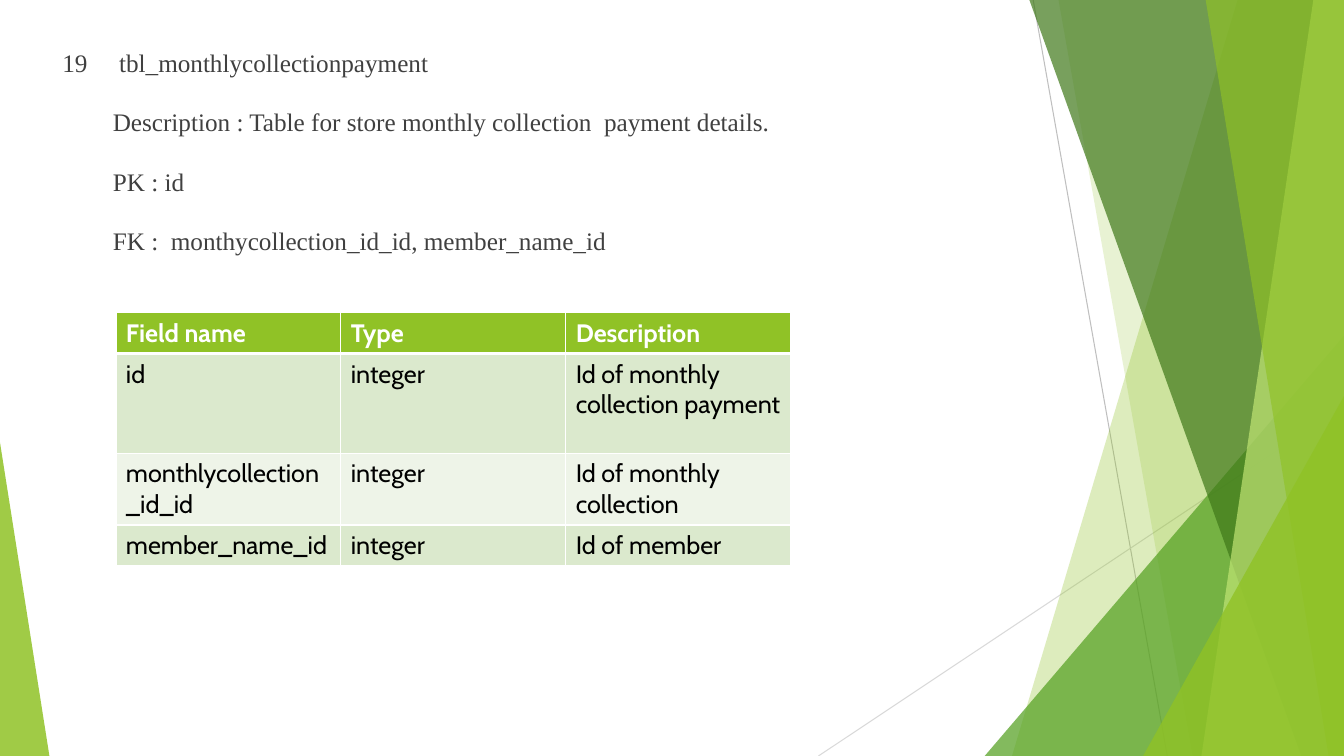
from lxml.etree import SubElement
from pptx import Presentation
from pptx.dml.color import RGBColor
from pptx.enum.shapes import MSO_CONNECTOR, MSO_SHAPE
from pptx.enum.text import MSO_ANCHOR, MSO_AUTO_SIZE
from pptx.oxml import parse_xml
from pptx.oxml.ns import nsdecls, qn
from pptx.util import Pt

COLOURS = {
    "lime": "90C226",
    "green": "54A021",
    "forest": "3F7819",
    "pale lime": "C0E474",
    "grey": "BFBFBF",
    "light grey": "D9D9D9",
    "body": "404040",
    "black": "000000",
    "white": "FFFFFF",
    "dark band": "DBE9CD",
    "light band": "EEF4E8",
}
PAGE_WIDTH, PAGE_HEIGHT = 960, 540


def colour(name):
    return RGBColor.from_string(COLOURS[name])


def add_run(paragraph, text, font_name, colour_name, bold=False):
    run = paragraph.add_run()
    run.text = text
    run.font.name = font_name
    run.font.size = Pt(18)
    run.font.bold = bold
    run.font.color.rgb = colour(colour_name)


presentation = Presentation()
presentation.slide_width = Pt(PAGE_WIDTH)
presentation.slide_height = Pt(PAGE_HEIGHT)
slide = presentation.slides.add_slide(presentation.slide_layouts[1])
shapes = slide.shapes
heading = shapes.title.element
heading.getparent().remove(heading)
summary = slide.placeholders[1]

rays = [
    ((738, 0), (833.8, PAGE_HEIGHT), "grey"),
    ((PAGE_WIDTH, 290), (584.6, PAGE_HEIGHT), "light grey"),
]
for start, end, tint in rays:
    ray = shapes.add_connector(MSO_CONNECTOR.STRAIGHT, *map(Pt, start + end))
    ray.line.color.rgb = colour(tint)
    ray.line.width = Pt(0.75)
    SubElement(ray.element.spPr, qn("a:effectLst"))

facets = [
    ("band", (884.2, 722.9), "lime", 30),
    ("band", (756, 851.8), "lime", 20),
    ("wedge", (703.4, 239.8, 256.6, 1), "green", 72),
    ("band", (735.1, 929.5), "forest", 70),
    ("band", (938.2, 858.2), "pale lime", 70),
    ("band", (861.1, 949), "lime", 65),
    ("wedge", (816.5, 283, 143.5, 1), "lime", 80),
    ("wedge", (0, 316.1, 35.3, 0), "lime", 85),
]
for outline, geometry, tint, opacity in facets:
    if outline == "band":
        top_x, bottom_x = geometry
        builder = shapes.build_freeform(Pt(top_x), Pt(-0.6))
        corners = [(PAGE_WIDTH, -0.6), (PAGE_WIDTH, PAGE_HEIGHT), (bottom_x, PAGE_HEIGHT)]
        builder.add_line_segments([(Pt(x), Pt(y)) for x, y in corners], close=True)
        facet = builder.convert_to_shape()
    else:
        left, top, width, apex = geometry
        facet = shapes.add_shape(
            MSO_SHAPE.ISOSCELES_TRIANGLE, Pt(left), Pt(top), Pt(width), Pt(PAGE_HEIGHT - top)
        )
        facet.adjustments[0] = apex
    facet.shadow.inherit = False
    facet.line.fill.background()
    facet.fill.solid()
    facet.fill.fore_color.rgb = colour(tint)
    solid = facet.element.spPr.find(qn("a:solidFill"))
    SubElement(solid[0], qn("a:alpha"), val=str(opacity * 1000))

shapes.element.append(summary.element)
summary.left, summary.top = Pt(37.4), Pt(30.2)
summary.width, summary.height = Pt(692.6), Pt(445.7)
summary_text = summary.text_frame
summary_text.word_wrap = True
summary_text.auto_size = MSO_AUTO_SIZE.NONE
summary_text.vertical_anchor = MSO_ANCHOR.TOP
summary_lines = [
    ("19\t tbl_monthlycollectionpayment", -36, 1),
    ("Description : Table for store monthly collection  payment details.", 0, 1.5),
    ("PK : id", 0, 1.5),
    ("FK :  monthycollection_id_id, member_name_id", 0, 1.5),
]
for index, (text, indent, spacing) in enumerate(summary_lines):
    paragraph = summary_text.add_paragraph() if index else summary_text.paragraphs[0]
    paragraph.space_before = Pt(10)
    paragraph.line_spacing = spacing
    properties = paragraph._p.get_or_add_pPr()
    properties.set("marL", str(Pt(36)))
    properties.set("indent", str(Pt(indent)))
    SubElement(properties, qn("a:buNone"))
    add_run(paragraph, text, "Times New Roman", "body")

fields = [
    ("Field name", "Type", "Description"),
    ("id", "integer", "Id of monthly collection payment"),
    ("monthlycollection_id_id", "integer", "Id of monthly collection"),
    ("member_name_id", "integer", "Id of member"),
]
row_heights = [28.8, 71.3, 49.7, 28.8]
row_fills = ["lime", "dark band", "light band", "dark band"]
field_table = shapes.add_table(
    len(fields), 3, Pt(82.8), Pt(223.4), Pt(482), Pt(sum(row_heights))
).table
for column in field_table.columns:
    column.width = Pt(160.65)
for row_index, (field, height, fill) in enumerate(zip(fields, row_heights, row_fills)):
    field_table.rows[row_index].height = Pt(height)
    is_header = row_index == 0
    edges = {"lnL": 1, "lnR": 1, "lnT": 3 if row_index == 1 else 1, "lnB": 3 if is_header else 1}
    for column_index, text in enumerate(field):
        cell = field_table.cell(row_index, column_index)
        cell.fill.solid()
        cell.fill.fore_color.rgb = colour(fill)
        add_run(
            cell.text_frame.paragraphs[0], text, "Cabin",
            "white" if is_header else "black", is_header,
        )
        cell_properties = cell._tc.get_or_add_tcPr()
        for position, (edge, weight) in enumerate(edges.items()):
            cell_properties.insert(position, parse_xml(
                f'<a:{edge} {nsdecls("a")} w="{Pt(weight)}"><a:solidFill>'
                f'<a:srgbClr val="{COLOURS["white"]}"/></a:solidFill></a:{edge}>'
            ))

presentation.save("out.pptx")
